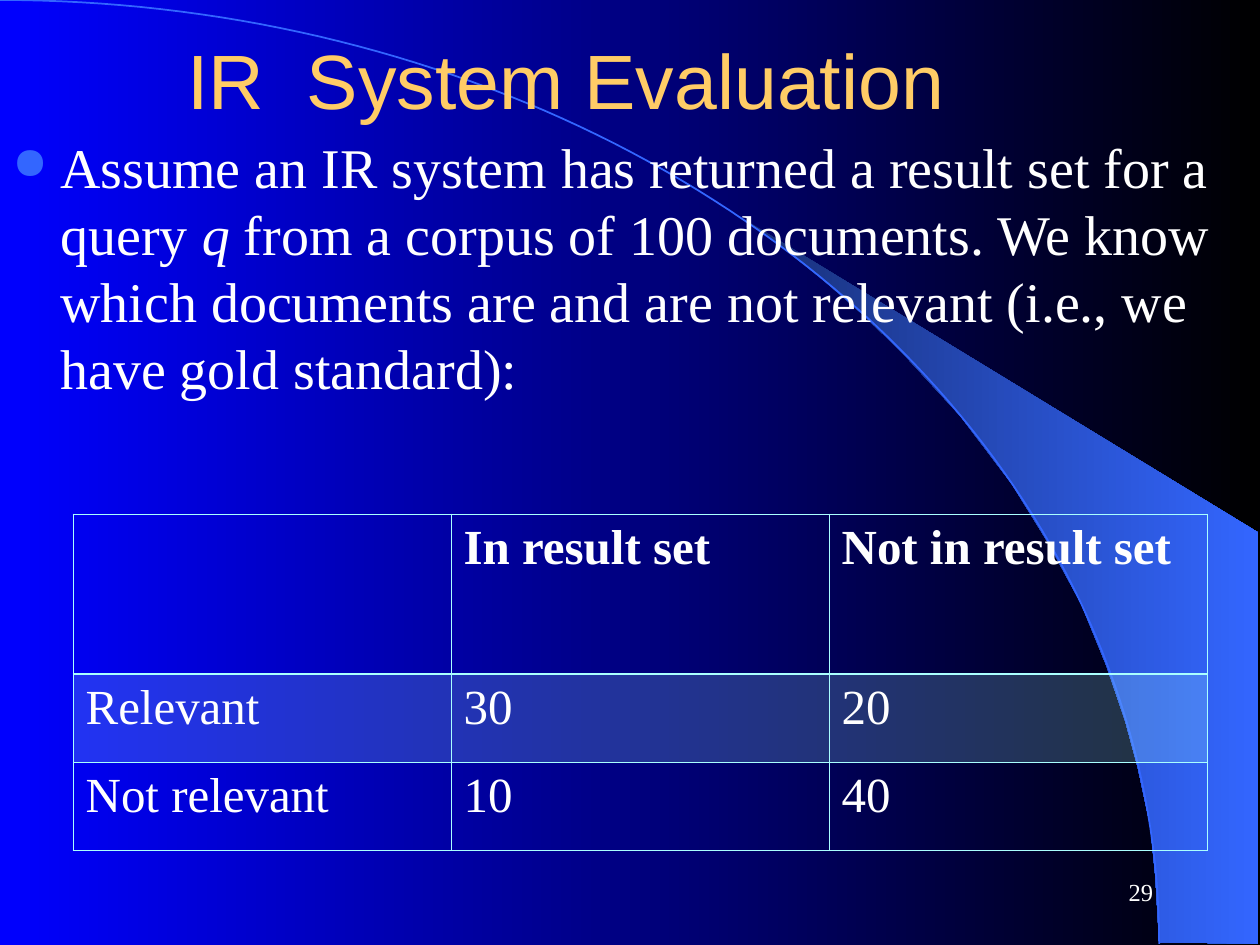
import math

from lxml import etree
from pptx import Presentation
from pptx.dml.color import RGBColor
from pptx.enum import text
from pptx.oxml import ns
from pptx.util import Inches, Pt

SERIF, SANS = "Times New Roman", "Arial"
WHITE, GOLD, BLUE, AQUA = "FFFFFF", "FFCC66", "3366FF", "AAFFFF"

TITLE = "IR  System Evaluation"
BODY = [
    ("Assume an IR system has returned a result set for a query ", False),
    ("q", True),
    (" from a corpus of 100 documents. We know which documents are and are "
     "not relevant (i.e., we have gold standard):", False),
]
PAGE_NUMBER = "29"
TABLE = [
    ["", "In result set", "Not in result set"],
    ["Relevant", "30", "20"],
    ["Not relevant", "10", "40"],
]
ROW_HEIGHTS = [1.27, 0.7, 0.7]
COLUMN_WIDTH = 3
BEAM = [
    (9.2, 7.48), (9.99, 7.49), (9.99, 4.23), (5.89, 1.73), (6.24, 1.99),
    (6.53, 2.22), (6.85, 2.5), (7.16, 2.8), (7.62, 3.3), (8.03, 3.84),
    (8.32, 4.31), (8.58, 4.79), (8.78, 5.28), (8.93, 5.72), (9.03, 6.09),
    (9.13, 6.56), (9.17, 6.96),
]
ARC_WIDTH, ARC_HEIGHT, ARC_STEPS = 9.2, 7.49, 90
ARC = [
    (ARC_WIDTH * math.sin(angle), ARC_HEIGHT * (1 - math.cos(angle)))
    for angle in (math.pi / 2 * step / ARC_STEPS for step in range(ARC_STEPS + 1))
]


def color(value):
    return RGBColor.from_string(value)


def add_element(parent, tag, **attributes):
    return etree.SubElement(parent, ns.qn(tag), attributes)


def set_gradient(fill, start, end):
    fill.gradient()
    fill.gradient_angle = 0
    for stop, value, position in zip(fill.gradient_stops, (start, end), (0, 1)):
        stop.color.rgb = color(value)
        stop.position = position


def add_outline(slide, points, close):
    builder = slide.shapes.build_freeform(
        Inches(points[0][0]), Inches(points[0][1]))
    builder.add_line_segments(
        [(Inches(x), Inches(y)) for x, y in points[1:]], close=close)
    shape = builder.convert_to_shape()
    shape.shadow.inherit = False
    return shape


def format_font(font, size, name=SERIF, value=WHITE, bold=False, italic=False):
    font.size, font.name = Pt(size), name
    font.bold, font.italic = bold, italic
    font.color.rgb = color(value)


def add_text(slide, box, anchor):
    frame = slide.shapes.add_textbox(*map(Inches, box)).text_frame
    frame.word_wrap = True
    frame.vertical_anchor = anchor
    return frame


def add_bullet(paragraph):
    properties = paragraph._p.get_or_add_pPr()
    properties.set("marL", str(Inches(0.38)))
    properties.set("indent", str(-Inches(0.38)))
    add_element(add_element(properties, "a:buClr"), "a:srgbClr", val=BLUE)
    add_element(properties, "a:buSzPct", val="80000")
    add_element(properties, "a:buChar", char="●")


def set_borders(cell, widths):
    properties = cell._tc.get_or_add_tcPr()
    for index, (side, width) in enumerate(widths.items()):
        line = etree.Element(ns.qn(f"a:ln{side}"), w=str(Pt(width)))
        add_element(add_element(line, "a:solidFill"), "a:srgbClr", val=AQUA)
        properties.insert(index, line)


def add_results(slide):
    table = slide.shapes.add_table(
        len(TABLE), len(TABLE[0]), Inches(0.58), Inches(4.08),
        Inches(COLUMN_WIDTH * len(TABLE[0])), Inches(sum(ROW_HEIGHTS))).table
    table.horz_banding = False
    for column in table.columns:
        column.width = Inches(COLUMN_WIDTH)
    for row_index, values in enumerate(TABLE):
        table.rows[row_index].height = Inches(ROW_HEIGHTS[row_index])
        for column_index, value in enumerate(values):
            cell = table.cell(row_index, column_index)
            cell.text = value
            format_font(cell.text_frame.paragraphs[0].font, 28,
                        bold=row_index == 0)
            for run in cell.text_frame.paragraphs[0].runs:
                format_font(run.font, 28, bold=row_index == 0)
            if row_index == 1:
                cell.fill.solid()
                cell.fill.fore_color.rgb = color(AQUA)
                tint = cell._tc.tcPr.find(".//" + ns.qn("a:srgbClr"))
                add_element(tint, "a:alpha", val="20000")
            else:
                cell.fill.background()
            set_borders(cell, {
                "L": 0.45, "R": 0.45,
                "T": 0.96 if row_index == 1 else 0.45,
                "B": 0.96 if row_index == 0 else 0.45,
            })


def main():
    presentation = Presentation()
    presentation.slide_width = Inches(10)
    presentation.slide_height = Inches(7.5)
    slide = presentation.slides.add_slide(presentation.slide_layouts[6])
    set_gradient(slide.background.fill, "0000FF", "000000")

    beam = add_outline(slide, BEAM, True)
    set_gradient(beam.fill, "182F76", BLUE)
    beam.line.fill.background()
    arc = add_outline(slide, ARC, False)
    arc.fill.background()
    arc.line.color.rgb = color(BLUE)
    arc.line.width = Pt(1)

    number = add_text(slide, (7.17, 6.83, 2.08, 0.5), text.MSO_ANCHOR.MIDDLE)
    number.text = PAGE_NUMBER
    number.paragraphs[0].alignment = text.PP_ALIGN.RIGHT
    format_font(number.paragraphs[0].runs[0].font, 14)

    title = add_text(slide, (0, 0.25, 9.67, 0.75), text.MSO_ANCHOR.MIDDLE)
    title.margin_right = Inches(0.78)
    title.text = TITLE
    title.paragraphs[0].alignment = text.PP_ALIGN.CENTER
    format_font(title.paragraphs[0].runs[0].font, 44, SANS, GOLD)

    body = add_text(slide, (0, 1, 10, 5.67), text.MSO_ANCHOR.TOP)
    paragraph = body.paragraphs[0]
    add_bullet(paragraph)
    paragraph.line_spacing = Pt(38.4)
    for words, italic in BODY:
        run = paragraph.add_run()
        run.text = words
        format_font(run.font, 32, italic=italic)

    add_results(slide)
    presentation.save("out.pptx")


if __name__ == "__main__":
    main()
